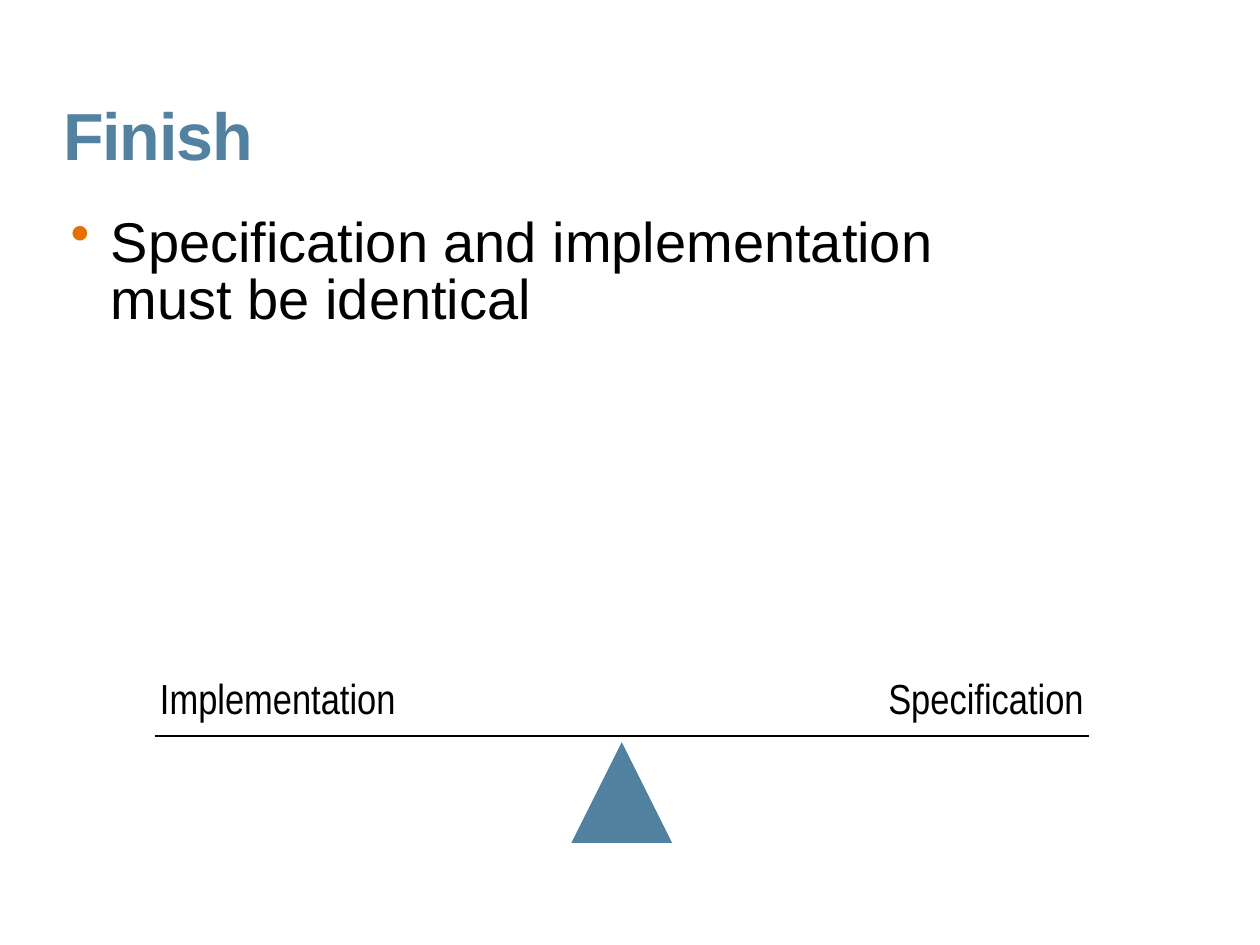
from lxml import etree
from pptx import Presentation
from pptx import util as u
from pptx.dml.color import RGBColor
from pptx.enum import shapes, text
from pptx.oxml import ns

BLUE = RGBColor(0x53, 0x82, 0xA1)
ORANGE = RGBColor(0xE7, 0x6F, 0x00)
BLACK = RGBColor(0x00, 0x00, 0x00)

presentation = Presentation()
presentation.slide_width = u.Inches(10)
presentation.slide_height = u.Inches(7.5)
slide = presentation.slides.add_slide(presentation.slide_layouts[6])

# The slide is a grid of 100 columns and 75 rows.
COLUMN = presentation.slide_width / 100
ROW = presentation.slide_height / 75


def cells(left, top, width, height):
    """Turn columns and rows of the grid into slide lengths."""
    return [round(left * COLUMN), round(top * ROW),
            round(width * COLUMN), round(height * ROW)]


def add_text(words, place, font_name, size, color, line_spacing, wrap=True):
    """Add a one-paragraph text box without margins."""
    box = slide.shapes.add_textbox(*cells(*place))
    frame = box.text_frame
    frame.margin_left = frame.margin_right = 0
    frame.margin_top = frame.margin_bottom = 0
    frame.vertical_anchor = text.MSO_ANCHOR.TOP
    frame.word_wrap = wrap
    paragraph = frame.paragraphs[0]
    paragraph.text = words
    paragraph.line_spacing = line_spacing
    for run in paragraph.runs:
        run.font.name = font_name
        run.font.size = u.Pt(size)
        run.font.color.rgb = color
    return paragraph


title = add_text("Finish", (5, 8.2, 90.8, 6.9), "Arial", 38, BLUE, 0.9)
title.runs[0].font.bold = True
title.runs[0].font._element.set("spc", "-70")

body = add_text("Specification and implementation\nmust be identical",
                (4.3, 17.2, 89.1, 50.6), "Arial", 32, BLACK, 0.85)
body.space_before = u.Pt(12.9)
properties = body._p.get_or_add_pPr()
properties.set("marL", str(u.Inches(0.45)))
properties.set("indent", str(u.Inches(-0.32)))
bullet_color = etree.SubElement(properties, ns.qn("a:buClr"))
etree.SubElement(bullet_color, ns.qn("a:srgbClr"), val=str(ORANGE))
etree.SubElement(properties, ns.qn("a:buChar"), char="•")

# The balance: a beam resting on a centred pivot, one label above each end.
BEAM_LEFT, BEAM_RIGHT, BEAM_TOP = 12.3, 86.4, 58.4
PIVOT_SIZE = 8
LABEL_INSET = 0.4
LABEL_RISE = 4.4

pivot_left = (BEAM_LEFT + BEAM_RIGHT - PIVOT_SIZE) / 2
pivot = slide.shapes.add_shape(
    shapes.MSO_SHAPE.ISOSCELES_TRIANGLE,
    *cells(pivot_left, BEAM_TOP + 0.5, PIVOT_SIZE, PIVOT_SIZE))
pivot.shadow.inherit = False
pivot.fill.solid()
pivot.fill.fore_color.rgb = BLUE
pivot.line.fill.background()

start_x, beam_y, end_x, _ = cells(BEAM_LEFT, BEAM_TOP, BEAM_RIGHT, 0)
beam = slide.shapes.add_connector(
    shapes.MSO_CONNECTOR.STRAIGHT, start_x, beam_y, end_x, beam_y)
beam.line.color.rgb = BLACK
beam.line.width = u.Pt(1.45)
etree.SubElement(beam._element.spPr, ns.qn("a:effectLst"))

labels = [
    ("Implementation", BEAM_LEFT + LABEL_INSET, 18.7),
    ("Specification", BEAM_RIGHT - LABEL_INSET - 15.5, 15.5),
]
for words, left, width in labels:
    label = add_text(words, (left, BEAM_TOP - LABEL_RISE, width, 3.8),
                     "Arial Narrow", 24, BLACK, 0.85, wrap=False)
    label.space_before = u.Pt(7.2)

presentation.save("out.pptx")
